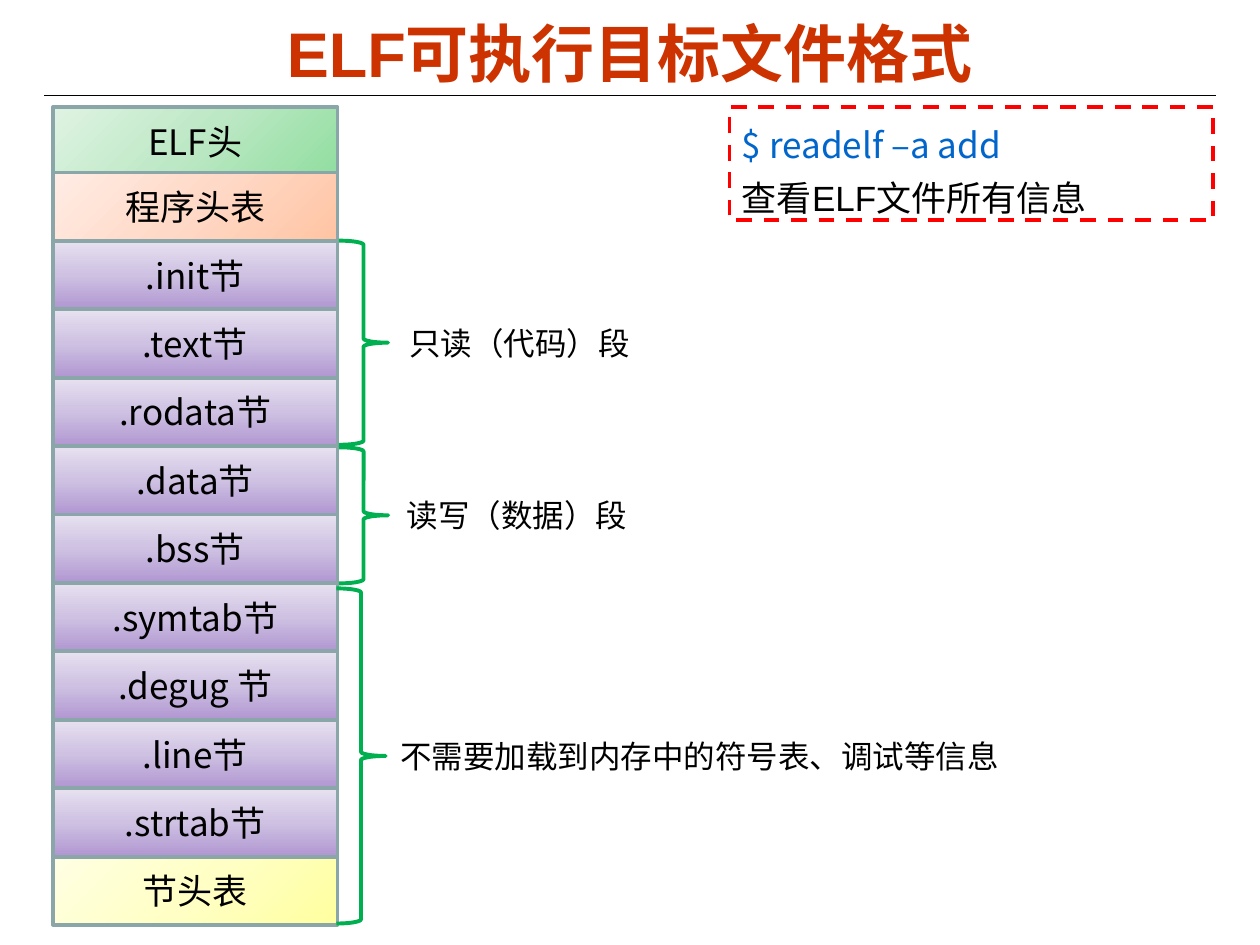
from dataclasses import dataclass
from lxml import etree
from pptx import Presentation
from pptx.dml.color import RGBColor
from pptx.enum.dml import MSO_LINE
from pptx.enum.shapes import MSO_CONNECTOR, MSO_SHAPE
from pptx.enum.text import MSO_ANCHOR, PP_ALIGN
from pptx.oxml import parse_xml
from pptx.oxml.ns import nsdecls, qn
from pptx.util import Inches, Pt

RECTANGLE, BRACE = MSO_SHAPE.RECTANGLE, MSO_SHAPE.RIGHT_BRACE
LEFT, CENTER = PP_ALIGN.LEFT, PP_ALIGN.CENTER
TOP, MIDDLE = MSO_ANCHOR.TOP, MSO_ANCHOR.MIDDLE
STRAIGHT, DASH = MSO_CONNECTOR.STRAIGHT, MSO_LINE.DASH


@dataclass(frozen=True)
class Theme:
    latin: str = "Arial"
    cjk: str = "Noto Sans CJK SC"
    title: str = "CC3300"
    ink: str = "000000"
    command: str = "0066CC"
    border: str = "8AA6A8"
    brace: str = "00B050"
    alert: str = "FF0000"
    green: tuple = (225, "91DEA0", "BDE8C5", "DFF3E3")
    orange: tuple = (225, "FFC4A3", "FFD9C7", "FFECE4")
    purple: tuple = (270, "B197D2", "CEC1E2", "E7E1F0")
    yellow: tuple = (225, "FFFFA0", "FFFFC5", "FFFFE3")
    title_size: int = 36
    body_size: int = 20
    label_size: int = 18


THEME = Theme()


def apply(target, values):
    for name, value in values.items():
        setattr(target, name, value)


def set_line(line, color, width, dash=None):
    line.color.rgb = RGBColor.from_string(color)
    apply(line, {"width": Pt(width), "dash_style": dash})


def set_gradient(shape, gradient):
    angle, *colors = gradient
    stops = "".join(
        f'<a:gs pos="{index * 50000}"><a:srgbClr val="{color}"/></a:gs>'
        for index, color in enumerate(colors)
    )
    fill = parse_xml(
        f'<a:gradFill {nsdecls("a")} rotWithShape="1"><a:gsLst>{stops}</a:gsLst>'
        f'<a:lin ang="{angle * 60000}" scaled="0"/></a:gradFill>'
    )
    shape.element.spPr.find(qn("a:prstGeom")).addnext(fill)


def write(para, text, size, color=THEME.ink, font=THEME.cjk, bold=False, align=LEFT):
    para.alignment = align
    span = para.add_run()
    span.text = text
    apply(span.font, {"size": Pt(size), "name": font, "bold": bold})
    span.font.color.rgb = RGBColor.from_string(color)
    east_asian = etree.SubElement(span.font._element, qn("a:ea"))
    east_asian.set("typeface", THEME.cjk)


def add_outline(shapes, kind, box, color, width, dash=None):
    shape = shapes.add_shape(kind, *map(Inches, box))
    shape.shadow.inherit = False
    set_line(shape.line, color, width, dash)
    return shape


def add_label(page, box, text, size, anchor=TOP, **style):
    label = page.shapes.add_textbox(*map(Inches, box))
    apply(label.text_frame, {"word_wrap": True, "vertical_anchor": anchor})
    write(label.text_frame.paragraphs[0], text, size, **style)


def add_heading(page, box, text):
    left, top, width, height = box
    rule = page.shapes.add_connector(
        STRAIGHT, *map(Inches, (left, top + height, left + width, top + height))
    )
    set_line(rule.line, THEME.ink, 0.75)
    etree.SubElement(rule.element.spPr, qn("a:effectLst"))
    add_label(page, (left + 0.15, top, width - 0.3, height - 0.04), text,
              THEME.title_size, MIDDLE, color=THEME.title, font=THEME.latin,
              bold=True, align=CENTER)


def add_layout_stack(page, box, rows):
    left, top, width, height = box
    row_height = 0.54
    second = top + 0.52
    pitch = (top + height - row_height - second) / (len(rows) - 2)
    stack = page.shapes.add_group_shape()
    for index, (text, gradient) in enumerate(rows):
        row_top = second + (index - 1) * pitch if index else top
        row = add_outline(stack.shapes, RECTANGLE, (left, row_top, width, row_height),
                          THEME.border, 2)
        set_gradient(row, gradient)
        row.text_frame.vertical_anchor = MIDDLE
        write(row.text_frame.paragraphs[0], text, THEME.body_size, align=CENTER)


def add_segment(page, box, text, label_left, label_width):
    left, top, width, height = box
    add_outline(page.shapes, BRACE, box, THEME.brace, 2.25).fill.background()
    add_label(page, (label_left, top + height / 2 - 0.2, label_width, 0.4),
              text, THEME.label_size)


def add_command_note(page, box, lines):
    note = add_outline(page.shapes, RECTANGLE, box, THEME.alert, 2.25, DASH)
    note.fill.background()
    frame = note.text_frame
    apply(frame, {"word_wrap": True, "vertical_anchor": TOP})
    for index, (text, color, font) in enumerate(lines):
        para = frame.add_paragraph() if index else frame.paragraphs[0]
        para.line_spacing = Pt(30)
        write(para, text, THEME.body_size, color, font)


SECTIONS = (".init节", ".text节", ".rodata节", ".data节", ".bss节",
            ".symtab节", ".degug 节", ".line节", ".strtab节")
ROWS = [("ELF头", THEME.green), ("程序头表", THEME.orange),
        *((name, THEME.purple) for name in SECTIONS), ("节头表", THEME.yellow)]
SEGMENTS = (
    ((2.69, 1.91, 0.39, 1.62), "只读（代码）段", 3.15, 2.21),
    ((2.69, 3.55, 0.39, 1.08), "读写（数据）段", 3.13, 2.21),
    ((2.67, 4.67, 0.39, 2.66), "不需要加载到内存中的符号表、调试等信息", 3.08, 5.46),
)
COMMAND = (("$ readelf –a add", THEME.command, THEME.cjk),
           ("查看ELF文件所有信息", THEME.ink, THEME.latin))

deck = Presentation()
apply(deck, {"slide_width": Inches(10), "slide_height": Inches(7.5)})
page = deck.slides.add_slide(deck.slide_layouts[6])
add_heading(page, (0.35, 0.11, 9.3, 0.65), "ELF可执行目标文件格式")
add_layout_stack(page, (0.42, 0.85, 2.26, 6.49), ROWS)
for segment in SEGMENTS:
    add_segment(page, *segment)
add_command_note(page, (5.79, 0.85, 3.84, 0.9), COMMAND)
deck.save("out.pptx")
